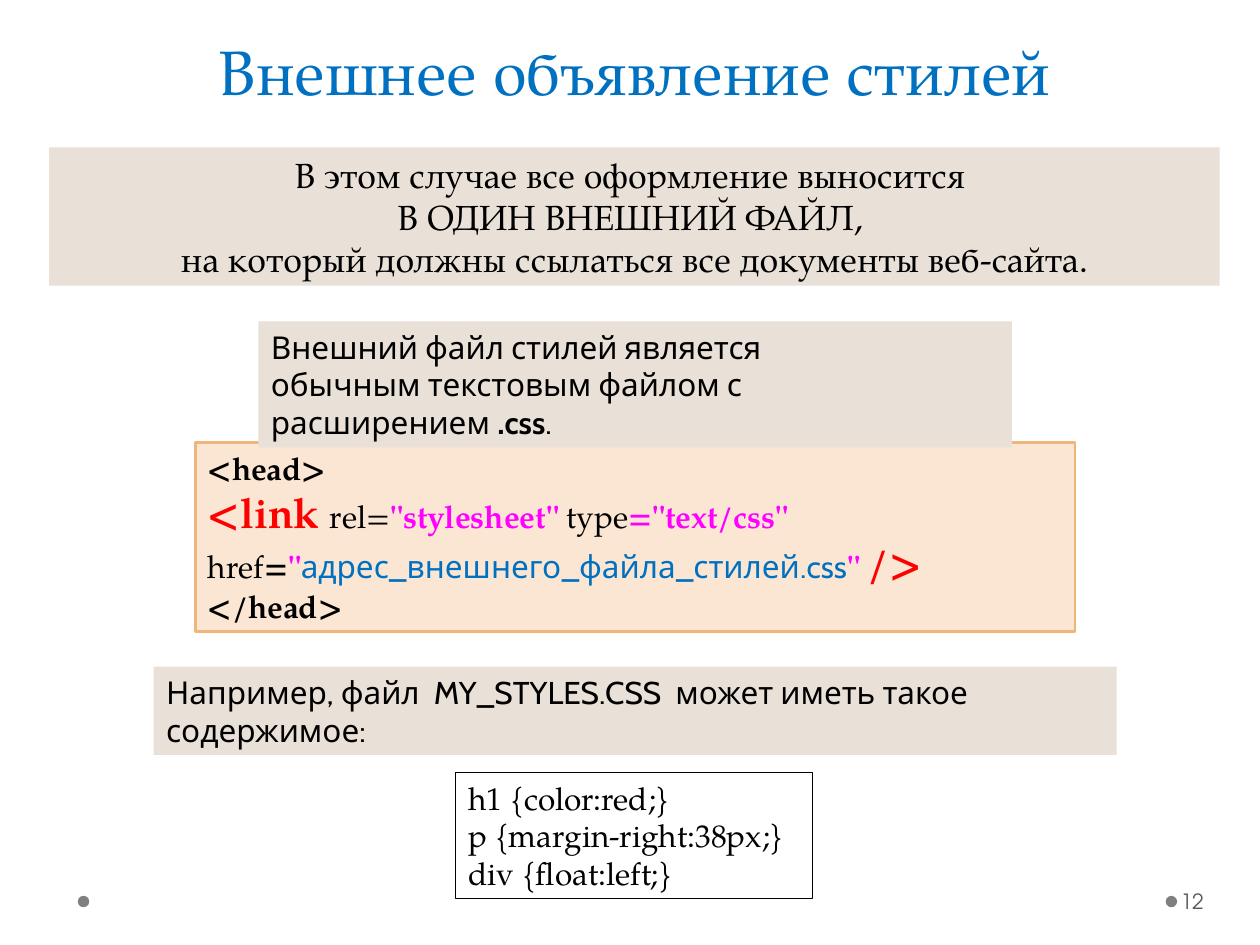
from pptx import Presentation
from pptx.dml.color import RGBColor
from pptx.enum.shapes import MSO_SHAPE
from pptx.enum.text import MSO_ANCHOR, MSO_AUTO_SIZE, PP_ALIGN
from pptx.util import Cm, Pt

RECT, OVAL = MSO_SHAPE.RECTANGLE, MSO_SHAPE.OVAL
TOP, MIDDLE = MSO_ANCHOR.TOP, MSO_ANCHOR.MIDDLE
LEFT, CENTER = PP_ALIGN.LEFT, PP_ALIGN.CENTER
GROW, FIXED = MSO_AUTO_SIZE.SHAPE_TO_FIT_TEXT, MSO_AUTO_SIZE.NONE

BLACK = RGBColor(0x00, 0x00, 0x00)
GREY = RGBColor(0x7F, 0x7F, 0x7F)
DARK = RGBColor(0x59, 0x59, 0x59)
BLUE = RGBColor(0x00, 0x70, 0xC0)
RED = RGBColor(0xFF, 0x00, 0x00)
PINK = RGBColor(0xFF, 0x00, 0xFF)
SAND = RGBColor(0xE9, 0xE0, 0xD7)
PEACH = RGBColor(0xFA, 0xE6, 0xD3)
ORANGE = RGBColor(0xF0, 0xB5, 0x7A)
SERIF, SANS, ROUND = "TeX Gyre Pagella", "Cabin", "TeX Gyre Adventor"


def style(para, size, name, color, align=LEFT):
    para.alignment = align
    font = para.font
    font.size, font.name, font.color.rgb = Pt(size), name, color


def panel(x, y, w, h, fill=None, line=None, width=0.75):
    """Add a rectangle with top-anchored text and return its text frame."""
    box = slide.shapes.add_shape(RECT, Cm(x), Cm(y), Cm(w), Cm(h))
    box.shadow.inherit = False
    if fill is None:
        box.fill.background()
    else:
        box.fill.solid()
        box.fill.fore_color.rgb = fill
    if line is None:
        box.line.fill.background()
    else:
        box.line.color.rgb = line
        box.line.width = Pt(width)
    frame = box.text_frame
    frame.word_wrap = True
    frame.vertical_anchor = TOP
    frame.auto_size = GROW
    return frame


prs = Presentation()
prs.slide_width, prs.slide_height = Cm(25.4), Cm(19.05)
slide = prs.slides.add_slide(prs.slide_layouts[5])

# Title
title = slide.shapes.title
title.left, title.top, title.width, title.height = Cm(1.3), Cm(0.53), Cm(23), Cm(1.78)
title.text_frame.text = "Внешнее объявление стилей"
title.text_frame.vertical_anchor = MIDDLE
title.text_frame.auto_size = FIXED
style(title.text_frame.paragraphs[0], 36, SERIF, BLUE, CENTER)

# Footer dots and page number
for x in (23.5, 1.57):
    dot = slide.shapes.add_shape(OVAL, Cm(x), Cm(18.06), Cm(0.23), Cm(0.23))
    dot.shadow.inherit = False
    dot.fill.solid()
    dot.fill.fore_color.rgb = GREY
    dot.line.fill.background()

page = slide.shapes.add_textbox(Cm(23.72), Cm(17.65), Cm(1.55), Cm(1.02)).text_frame
page.word_wrap = True
page.margin_left = Cm(0.08)
page.margin_right = Cm(0.13)
page.vertical_anchor = MIDDLE
page.text = "12"
style(page.paragraphs[0], 12, ROUND, DARK)

# Introduction
intro = panel(0.99, 2.97, 23.6, 2.79, SAND)
intro.paragraphs[0].text = (
    "В этом случае все оформление выносится \v"
    "В ОДИН ВНЕШНИЙ ФАЙЛ, \v"
    "на который должны ссылаться все документы веб-сайта."
)
style(intro.paragraphs[0], 20, SERIF, BLACK, CENTER)

# Link code: text, colour, bold, size, font
CODE = [
    [("<head>", BLACK, True, 18, SERIF)],
    [
        ("<link ", RED, True, 24, SERIF),
        ("rel=", BLACK, False, 18, SERIF),
        ('"stylesheet" ', PINK, True, 18, SERIF),
        ("type", BLACK, False, 18, SERIF),
        ('="text/css"', PINK, True, 18, SERIF),
        None,
        ("href", BLACK, False, 18, SERIF),
        ("=", BLACK, True, 18, SERIF),
        ('"', PINK, True, 18, SERIF),
        ("адрес_внешнего_файла_стилей.css", BLUE, False, 18, SANS),
        ('" ', PINK, True, 18, SERIF),
        ("/>", RED, True, 24, SERIF),
    ],
    [("</head>", BLACK, True, 18, SERIF)],
]
code = panel(3.94, 8.92, 17.73, 3.81, PEACH, ORANGE, 1.5)
for i, parts in enumerate(CODE):
    para = code.add_paragraph() if i else code.paragraphs[0]
    para.alignment = LEFT
    for part in parts:
        if part is None:
            para.add_line_break()
            continue
        run = para.add_run()
        run.text, run.font.color.rgb, run.font.bold, size, run.font.name = part
        run.font.size = Pt(size)

# Note on the file type
note = panel(5.21, 6.48, 15.19, 2.54, SAND).paragraphs[0]
note.text = "Внешний файл стилей является \vобычным текстовым файлом с расширением "
for text, bold in ((".css", True), (".", False)):
    run = note.add_run()
    run.text, run.font.bold = text, bold
style(note, 18, SANS, BLACK)

# Sample style sheet
sample = panel(9.19, 15.57, 7.19, 2.54, line=BLACK)
sample.text = "h1 {color:red;}\np {margin-right:38px;}\ndiv {float:left;}"
for para in sample.paragraphs:
    style(para, 18, SERIF, BLACK)

lead = panel(3.1, 13.44, 19.41, 1.78, SAND).paragraphs[0]
lead.text = "Например, файл  MY_STYLES.CSS  может иметь такое содержимое:"
style(lead, 18, SANS, BLACK)

prs.save("out.pptx")
